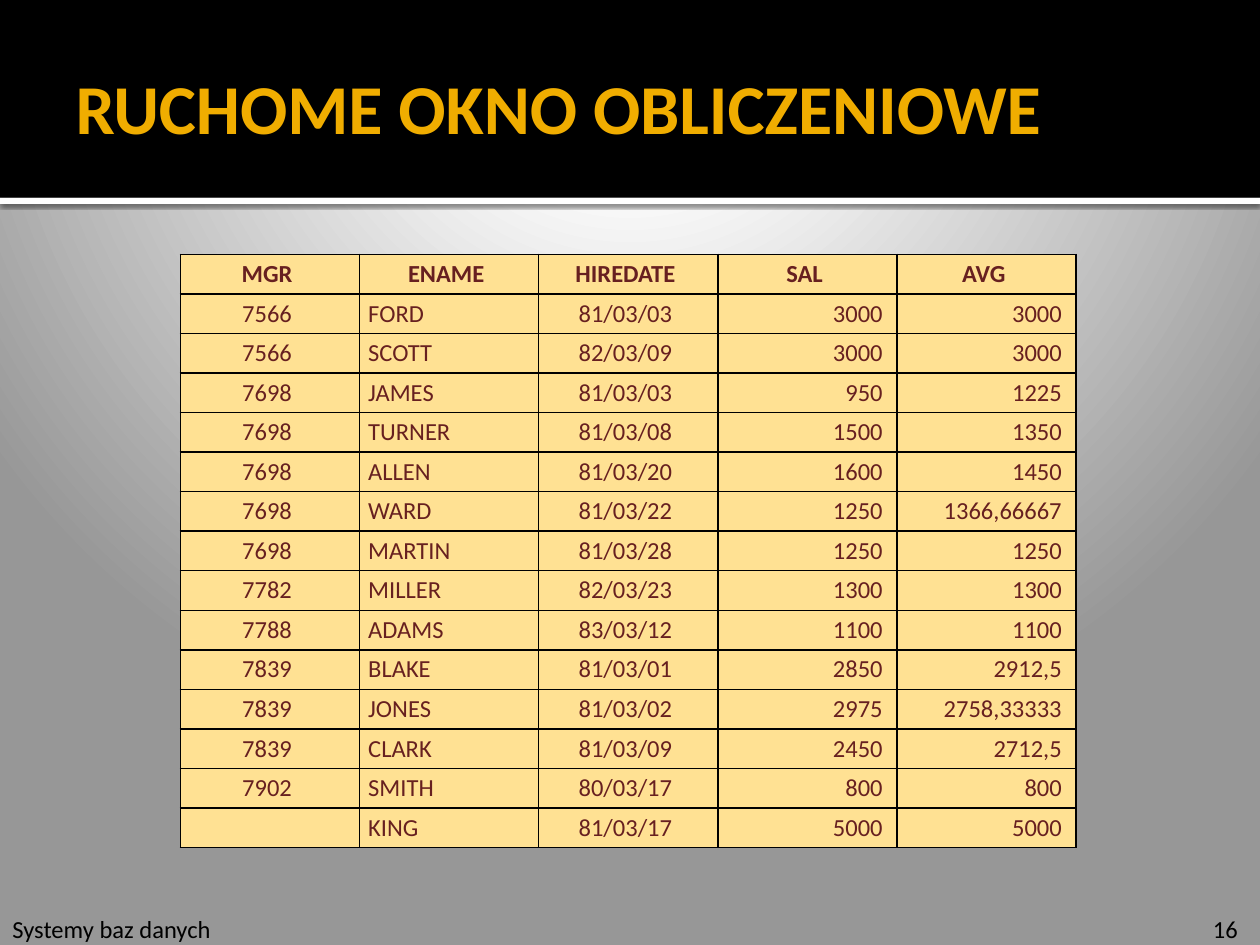
from dataclasses import dataclass

from lxml.etree import SubElement
from pptx import Presentation
from pptx.dml.color import RGBColor
from pptx.enum.shapes import MSO_SHAPE as Shape
from pptx.enum.text import MSO_ANCHOR as Anchor, MSO_AUTO_SIZE as AutoSize, PP_ALIGN as Align
from pptx.oxml.ns import qn
from pptx.util import Pt

FONT = "Calibri"
BLACK = RGBColor(0x00, 0x00, 0x00)
WHITE = RGBColor(0xFF, 0xFF, 0xFF)
GREY = RGBColor(0x97, 0x97, 0x97)
AMBER = RGBColor(0xF0, 0xAD, 0x00)
MAROON = RGBColor(0x67, 0x20, 0x20)
CREAM = RGBColor(0xFF, 0xE1, 0x93)

SLIDE_WIDTH, SLIDE_HEIGHT = 720, 540
HEADER_HEIGHT = 113
TABLE_LEFT, TABLE_TOP = 103, 145.4
COLUMN_WIDTH, ROW_HEIGHT = 102.4, 22.6
BACKGROUND_STOPS = ((0, WHITE), (12, WHITE), (20, WHITE), (100, GREY))


@dataclass(frozen=True)
class Column:
    name: str
    align: Align
    suffix: str = " "


@dataclass(frozen=True)
class Bar:
    top: float
    height: float
    color: RGBColor
    shadowed: bool = False


@dataclass(frozen=True)
class Footer:
    text: str
    left: float
    width: float


COLUMNS = (
    Column("MGR", Align.CENTER),
    Column("ENAME", Align.LEFT, suffix=""),
    Column("HIREDATE", Align.CENTER),
    Column("SAL", Align.RIGHT),
    Column("AVG", Align.RIGHT),
)
EMPLOYEES = (
    ("7566", "FORD", "81/03/03", "3000", "3000"),
    ("7566", "SCOTT", "82/03/09", "3000", "3000"),
    ("7698", "JAMES", "81/03/03", "950", "1225"),
    ("7698", "TURNER", "81/03/08", "1500", "1350"),
    ("7698", "ALLEN", "81/03/20", "1600", "1450"),
    ("7698", "WARD", "81/03/22", "1250", "1366,66667"),
    ("7698", "MARTIN", "81/03/28", "1250", "1250"),
    ("7782", "MILLER", "82/03/23", "1300", "1300"),
    ("7788", "ADAMS", "83/03/12", "1100", "1100"),
    ("7839", "BLAKE", "81/03/01", "2850", "2912,5"),
    ("7839", "JONES", "81/03/02", "2975", "2758,33333"),
    ("7839", "CLARK", "81/03/09", "2450", "2712,5"),
    ("7902", "SMITH", "80/03/17", "800", "800"),
    ("", "KING", "81/03/17", "5000", "5000"),
)
BARS = (
    Bar(HEADER_HEIGHT, 3.6, WHITE, shadowed=True),
    Bar(0, HEADER_HEIGHT, BLACK),
)
FOOTERS = (Footer("Systemy baz danych", 0, 206.6), Footer("16", 686, 34))


def write_text(frame, text: str, *, size: float = 14, color: RGBColor = BLACK,
               bold: bool = False, align: Align = Align.LEFT) -> None:
    paragraph = frame.paragraphs[0]
    paragraph.alignment = align
    if not text:
        # The end mark sets the line height of an empty paragraph.
        SubElement(paragraph._p, qn("a:endParaRPr"), sz=str(int(size * 100)))
        return
    run = paragraph.add_run()
    run.text = text
    font = run.font
    font.name, font.size, font.bold = FONT, Pt(size), bold
    font.color.rgb = color


def add_color(parent, color: RGBColor, **children: int) -> None:
    element = SubElement(parent, qn("a:srgbClr"), val=str(color))
    for tag, value in children.items():
        SubElement(element, qn(f"a:{tag}"), val=str(value))


def paint_background(slide) -> None:
    """Fill the background with a round glow from the top."""
    slide.background.fill.gradient()
    gradient = slide.element.find(".//" + qn("a:gradFill"))
    for child in list(gradient):
        gradient.remove(child)
    stops = SubElement(gradient, qn("a:gsLst"))
    for percent, color in BACKGROUND_STOPS:
        add_color(SubElement(stops, qn("a:gs"), pos=str(percent * 1000)), color)
    glow = SubElement(gradient, qn("a:path"), path="circle")
    SubElement(glow, qn("a:fillToRect"), l="10000", t="-25000", r="10000", b="125000")


def add_bar(slide, bar: Bar) -> None:
    shape = slide.shapes.add_shape(
        Shape.RECTANGLE, Pt(0), Pt(bar.top), Pt(SLIDE_WIDTH), Pt(bar.height))
    shape.shadow.inherit = False
    shape.fill.solid()
    shape.fill.fore_color.rgb = bar.color
    shape.line.fill.background()
    if bar.shadowed:
        effects = shape._element.spPr.find(qn("a:effectLst"))
        shadow = SubElement(effects, qn("a:outerShdw"), blurRad=str(Pt(2.5)),
                            dist=str(Pt(0.8)), dir="5400000", rotWithShape="0")
        add_color(shadow, BLACK, alpha=60000)


def add_footer(slide, footer: Footer) -> None:
    box = slide.shapes.add_textbox(Pt(footer.left), Pt(519), Pt(footer.width), Pt(24.5))
    box.text_frame.word_wrap = True
    box.text_frame.auto_size = AutoSize.SHAPE_TO_FIT_TEXT
    write_text(box.text_frame, footer.text)


def set_title(slide, text: str) -> None:
    title = slide.shapes.title
    title.left, title.top, title.width, title.height = Pt(36), Pt(33), Pt(648), Pt(55.4)
    frame = title.text_frame
    frame.word_wrap = True
    frame.auto_size = AutoSize.NONE
    frame.vertical_anchor = Anchor.MIDDLE
    frame.margin_left = Pt(7.2)
    frame.margin_top = frame.margin_right = frame.margin_bottom = Pt(3.6)
    write_text(frame, text, size=40, color=AMBER, bold=True)
    # Bring the title in front of the black bar.
    slide.shapes._spTree.append(title._element)


def format_cell(cell) -> None:
    cell.vertical_anchor = Anchor.MIDDLE
    cell.margin_left = cell.margin_right = Pt(5)
    cell.margin_top = cell.margin_bottom = Pt(2.2)
    properties = cell._tc.get_or_add_tcPr()
    for side in ("lnL", "lnR", "lnT", "lnB"):
        line = SubElement(properties, qn(f"a:{side}"), w=str(Pt(1)))
        add_color(SubElement(line, qn("a:solidFill")), BLACK)
    cell.fill.solid()
    cell.fill.fore_color.rgb = CREAM


def add_employee_table(slide) -> None:
    row_count, column_count = len(EMPLOYEES) + 1, len(COLUMNS)
    table = slide.shapes.add_table(
        row_count, column_count, Pt(TABLE_LEFT), Pt(TABLE_TOP),
        Pt(COLUMN_WIDTH * column_count), Pt(ROW_HEIGHT * row_count)).table
    table.first_row = table.horz_banding = False
    for table_column in table.columns:
        table_column.width = Pt(COLUMN_WIDTH)
    for row in table.rows:
        row.height = Pt(ROW_HEIGHT)
    for index, column in enumerate(COLUMNS):
        header = table.cell(0, index)
        format_cell(header)
        write_text(header.text_frame, column.name + " ", color=MAROON,
                   bold=True, align=Align.CENTER)
        for row_index, employee in enumerate(EMPLOYEES, start=1):
            cell = table.cell(row_index, index)
            format_cell(cell)
            value = employee[index]
            write_text(cell.text_frame, value and value + column.suffix,
                       color=MAROON, align=column.align)


def main() -> None:
    presentation = Presentation()
    presentation.slide_width, presentation.slide_height = Pt(SLIDE_WIDTH), Pt(SLIDE_HEIGHT)
    slide = presentation.slides.add_slide(presentation.slide_layouts[5])
    paint_background(slide)
    for bar in BARS:
        add_bar(slide, bar)
    for footer in FOOTERS:
        add_footer(slide, footer)
    set_title(slide, "RUCHOME OKNO OBLICZENIOWE")
    add_employee_table(slide)
    presentation.save("out.pptx")


if __name__ == "__main__":
    main()
